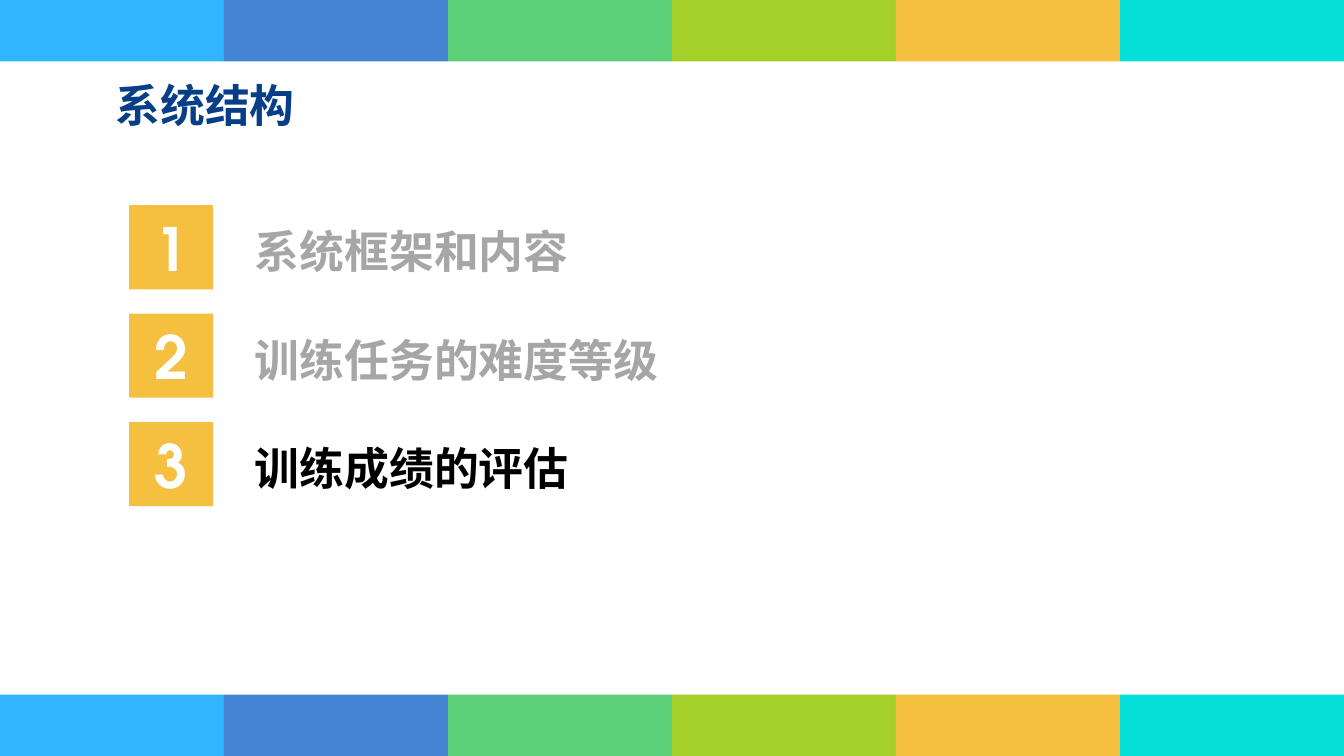
from pptx import Presentation
from pptx.dml.color import RGBColor
from pptx.enum.shapes import MSO_SHAPE
from pptx.enum.text import MSO_ANCHOR, MSO_AUTO_SIZE, PP_ALIGN
from pptx.oxml.ns import qn
from pptx.util import Cm, Pt
from lxml.etree import SubElement

HUES = {
    "sky": "31B6FD", "blue": "4584D3", "green": "5BD078",
    "lime": "A5D028", "gold": "F5C040", "aqua": "05E0DB",
    "navy": "073E87", "grey": "A6A6A6", "black": "000000", "white": "FFFFFF",
}
HAN = "Noto Sans CJK SC"
LATIN = "TeX Gyre Adventor"


def write(shape, text, size=24, hue="black", font=HAN,
          align=PP_ALIGN.LEFT, anchor=MSO_ANCHOR.TOP):
    """Put one bold line of text in a shape."""
    frame = shape.text_frame
    frame.word_wrap = True
    frame.auto_size = MSO_AUTO_SIZE.NONE
    frame.vertical_anchor = anchor
    line = frame.paragraphs[0]
    line.alignment = align
    run = line.add_run()
    run.text = text
    run.font.size = Pt(size)
    run.font.bold = True
    run.font.name = font
    run.font.color.rgb = RGBColor.from_string(HUES[hue])
    SubElement(run.font._element, qn("a:ea")).set("typeface", HAN)


def block(left, top, width, height, hue):
    """Add a plain filled rectangle."""
    rect = slide.shapes.add_shape(MSO_SHAPE.RECTANGLE, left, top, width, height)
    rect.shadow.inherit = False
    rect.fill.solid()
    rect.fill.fore_color.rgb = RGBColor.from_string(HUES[hue])
    rect.line.fill.background()
    return rect


deck = Presentation()
deck.slide_width = Cm(25.4)
deck.slide_height = Cm(14.29)
slide = deck.slides.add_slide(deck.slide_layouts[5])

# Colour bands at top and bottom
bands = ["sky", "blue", "green", "lime", "gold", "aqua"]
wide = deck.slide_width // len(bands)
high = Cm(1.16)
for top in (0, deck.slide_height - high):
    for col, hue in enumerate(bands):
        block(col * wide, top, wide, high, hue)

# Title
title = slide.shapes.title
title.left, title.top = Cm(1.93), Cm(1.35)
title.width, title.height = Cm(4.3), Cm(1.28)
write(title, "系统结构", hue="navy")

# Numbered agenda, current item in black
items = [
    ("系统框架和内容", "grey", LATIN),
    ("训练任务的难度等级", "grey", LATIN),
    ("训练成绩的评估", "black", HAN),
]
side = Cm(1.59)
for row, (text, hue, font) in enumerate(items):
    top = Cm(3.88 + row * 2.05)
    badge = block(Cm(2.44), top, side, side, "gold")
    write(badge, str(row + 1), size=32, hue="white", font=LATIN,
          align=PP_ALIGN.CENTER, anchor=MSO_ANCHOR.MIDDLE)
    label = slide.shapes.add_textbox(Cm(4.57), top + Cm(0.23), Cm(11), Cm(1.28))
    write(label, text, hue=hue, font=font)

deck.save("out.pptx")
